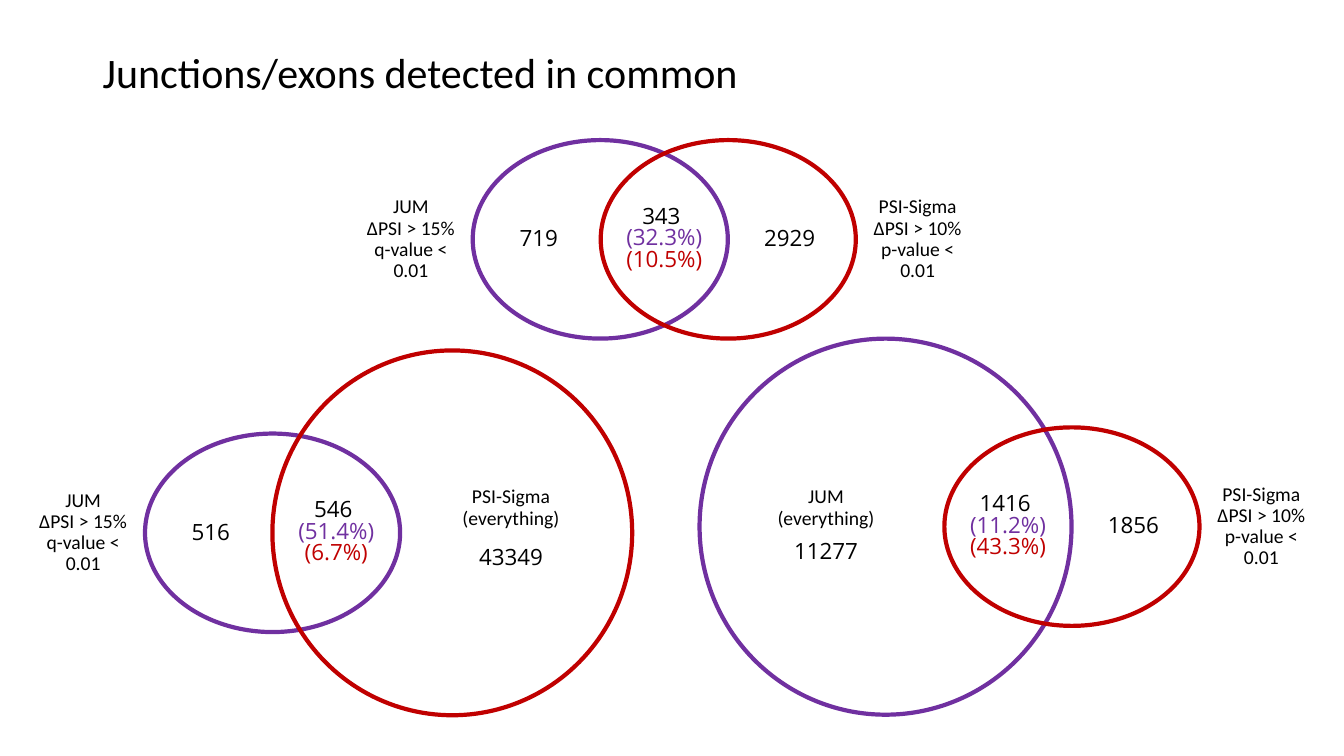
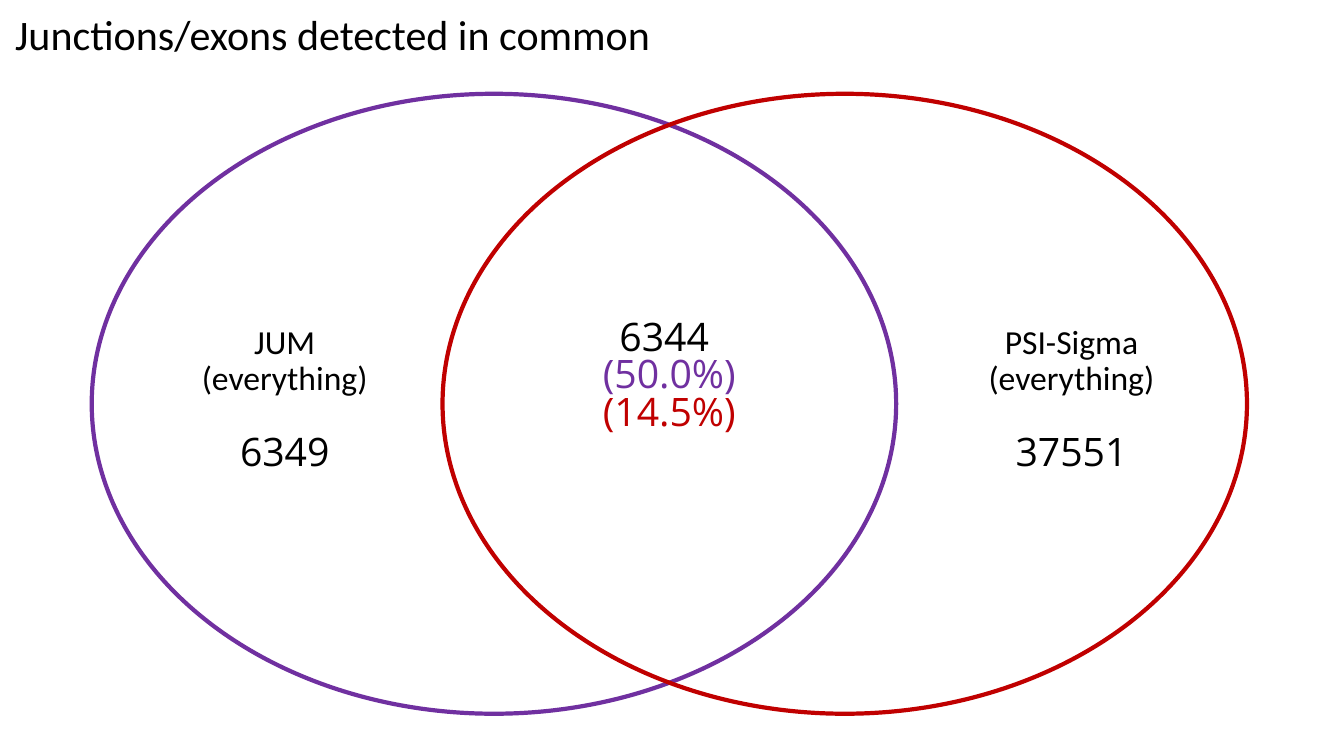
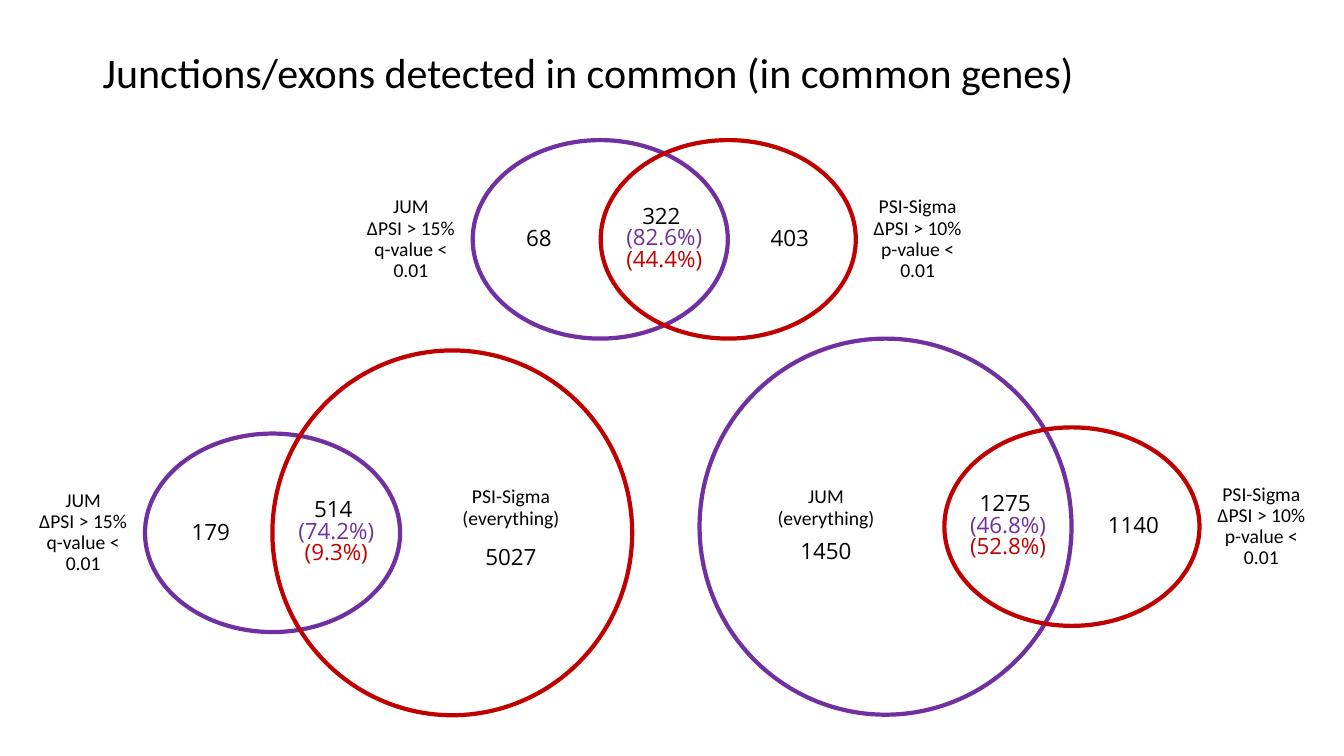
from collections import namedtuple

from pptx import Presentation
from pptx.dml.color import RGBColor
from pptx.enum.shapes import MSO_SHAPE
from pptx.enum.text import MSO_ANCHOR, MSO_AUTO_SIZE, PP_ALIGN
from pptx.util import Pt

BLACK, PURPLE, RED = "000000", "7030A0", "C00000"
LABEL_FONT, COUNT_FONT = "Calibri", "Open Sans"

Circle = namedtuple("Circle", "left width height label_x label_dy label count_x count_dy count_w")
Venn = namedtuple("Venn", "center_y jum psi shared_dy")
Style = namedtuple("Style", "label_size count_size label_w shared_w")

JUM_CUTOFF = ["JUM", "ΔPSI > 15%", "q-value < 0.01"]
PSI_CUTOFF = ["PSI-Sigma", "ΔPSI > 10%", "p-value < 0.01"]
JUM_ALL = ["JUM", "(everything)"]
PSI_ALL = ["PSI-Sigma", "(everything)"]

SMALL = Style(14, 16, 94.3, 85)
LARGE = Style(24, 28, 160, 160)
CUTOFF_W, CUTOFF_H = 182.2, 141.8
LABEL_GAP = 44.2
COUNT_INSET = 1.5


def cutoff_jum(left, overlap_left):
    return Circle(left, CUTOFF_W, CUTOFF_H, left - LABEL_GAP, 0, JUM_CUTOFF,
                  (left + overlap_left) / 2 + COUNT_INSET, 0, 55.4)


def cutoff_psi(left, overlap_right):
    right = left + CUTOFF_W
    return Circle(left, CUTOFF_W, CUTOFF_H, right + LABEL_GAP, 0, PSI_CUTOFF,
                  (overlap_right + right) / 2 - COUNT_INSET, 0, 55.4)


CUTOFF_VENNS = [
    Venn(171, cutoff_jum(337.7, 429.1), cutoff_psi(429.1, 519.9), 0),
    Venn(380.6, cutoff_jum(103.6, 194.6),
         Circle(194.6, 257, 260.6, 365, -17.7, PSI_ALL, 365, 18.3, 85.7), 0),
    Venn(376.2, Circle(499.7, 265.7, 268.6, 590, -13.3, JUM_ALL, 590, 18.4, 94.3),
         cutoff_psi(674.6, 765.4), 0),
]
EVERYTHING_VENN = [
    Venn(288.4, Circle(65.5, 574.6, 442.8, 203.4, -30, JUM_ALL, 203.4, 35.6, 94.3),
         Circle(316.1, 574.6, 442.8, 765.4, -30, PSI_ALL, 765.4, 35.6, 123), -18.8),
]

TITLE = "Junctions/exons detected in common"
INDENTED_TITLE = (66.2, 28.8, 828, 49)
CORNER_TITLE = (3.6, 0, 486.7, 52.6)

SLIDES = [
    (TITLE, INDENTED_TITLE, SMALL, CUTOFF_VENNS, [
        ("719", "343", "32.3%", "10.5%", "2929"),
        ("516", "546", "51.4%", "6.7%", "43349"),
        ("11277", "1416", "11.2%", "43.3%", "1856"),
    ]),
    (TITLE, CORNER_TITLE, LARGE, EVERYTHING_VENN, [
        ("6349", "6344", "50.0%", "14.5%", "37551"),
    ]),
    (TITLE + " (in common genes)", INDENTED_TITLE, SMALL, CUTOFF_VENNS, [
        ("68", "322", "82.6%", "44.4%", "403"),
        ("179", "514", "74.2%", "9.3%", "5027"),
        ("1450", "1275", "46.8%", "52.8%", "1140"),
    ]),
]


def rgb(color):
    return RGBColor.from_string(color)


def fill_text(sp, lines, font, size, align, spacing=0.9):
    tf = sp.text_frame
    tf.word_wrap = True
    tf.auto_size = MSO_AUTO_SIZE.NONE
    tf.vertical_anchor = MSO_ANCHOR.MIDDLE
    for i, (text, color) in enumerate(lines):
        p = tf.paragraphs[0] if i == 0 else tf.add_paragraph()
        p.text = text
        p.alignment = align
        p.line_spacing = spacing
        p.font.name = font
        p.font.size = Pt(size)
        p.font.color.rgb = rgb(color)


def add_title(s, text, box):
    sp = s.shapes.title
    sp.left, sp.top, sp.width, sp.height = map(Pt, box)
    fill_text(sp, [(text, BLACK)], LABEL_FONT, 30, PP_ALIGN.LEFT)


def add_text(s, x, y, w, h, lines, font, size, spacing=0.9):
    sp = s.shapes.add_textbox(Pt(x - w / 2), Pt(y - h / 2), Pt(w), Pt(h))
    fill_text(sp, lines, font, size, PP_ALIGN.CENTER, spacing)


def add_ellipse(s, circle, center_y, color):
    sp = s.shapes.add_shape(MSO_SHAPE.OVAL, Pt(circle.left), Pt(center_y - circle.height / 2),
                            Pt(circle.width), Pt(circle.height))
    sp.shadow.inherit = False
    sp.fill.background()
    sp.line.color.rgb = rgb(color)
    sp.line.width = Pt(3)


def add_venn(s, venn, counts, style):
    jum_only, shared, jum_share, psi_share, psi_only = counts
    y = venn.center_y
    add_ellipse(s, venn.jum, y, PURPLE)
    add_ellipse(s, venn.psi, y, RED)
    for circle, count in ((venn.jum, jum_only), (venn.psi, psi_only)):
        add_text(s, circle.label_x, y + circle.label_dy, style.label_w, 49,
                 [(line, BLACK) for line in circle.label], LABEL_FONT, style.label_size)
        add_text(s, circle.count_x, y + circle.count_dy, circle.count_w, 36,
                 [(count, BLACK)], COUNT_FONT, style.count_size)
    overlap_x = (venn.psi.left + venn.jum.left + venn.jum.width) / 2
    lines = [(f"{shared} ", BLACK), (f"({jum_share})", PURPLE), (f"({psi_share})", RED)]
    add_text(s, overlap_x, y + venn.shared_dy, style.shared_w, 71.3, lines,
             COUNT_FONT, style.count_size, 0.8)


def main():
    prs = Presentation()
    prs.slide_width, prs.slide_height = Pt(960), Pt(540)
    for title, title_box, style, venns, counts in SLIDES:
        s = prs.slides.add_slide(prs.slide_layouts[5])
        add_title(s, title, title_box)
        for venn, venn_counts in zip(venns, counts):
            add_venn(s, venn, venn_counts, style)
    prs.save("out.pptx")


if __name__ == "__main__":
    main()
